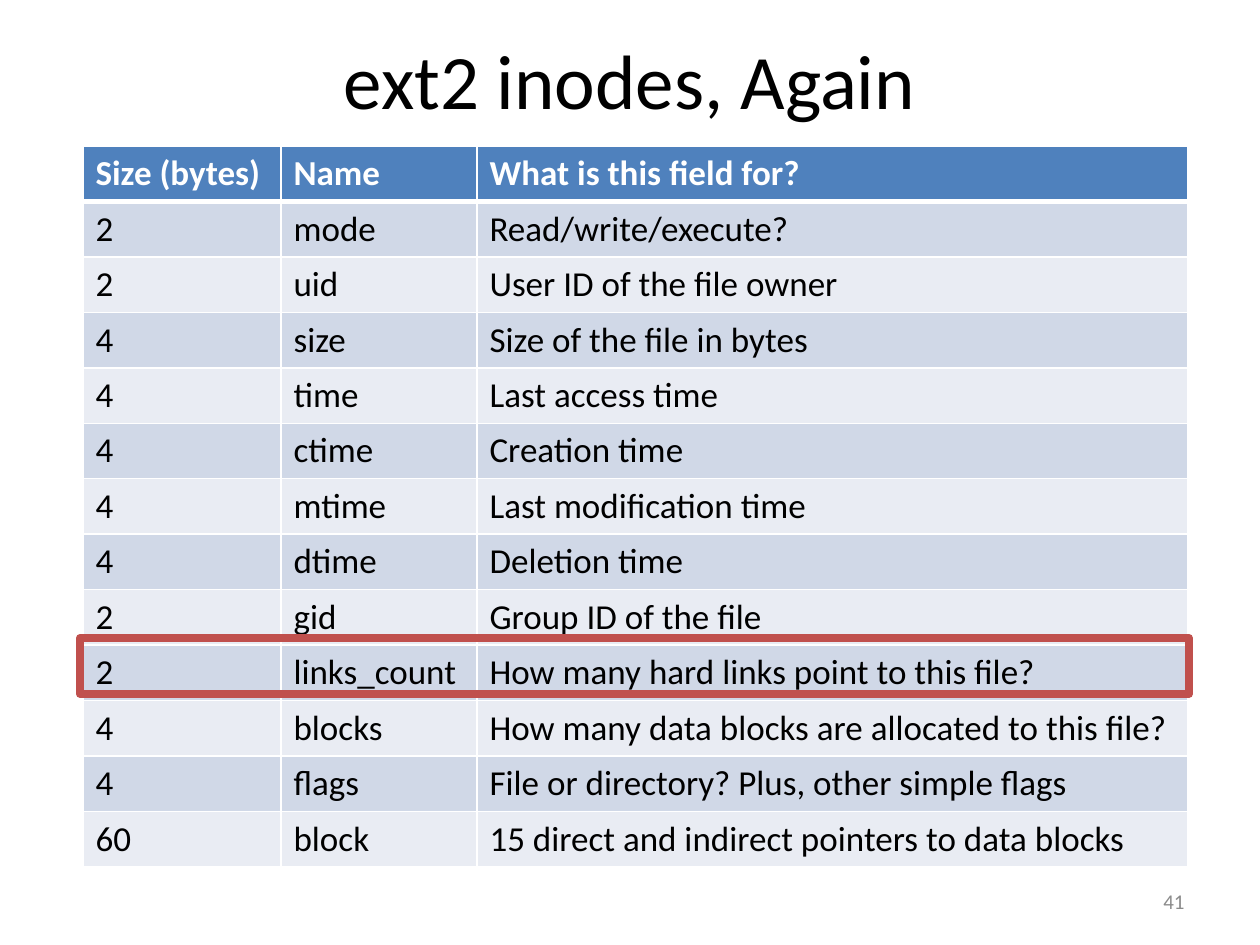
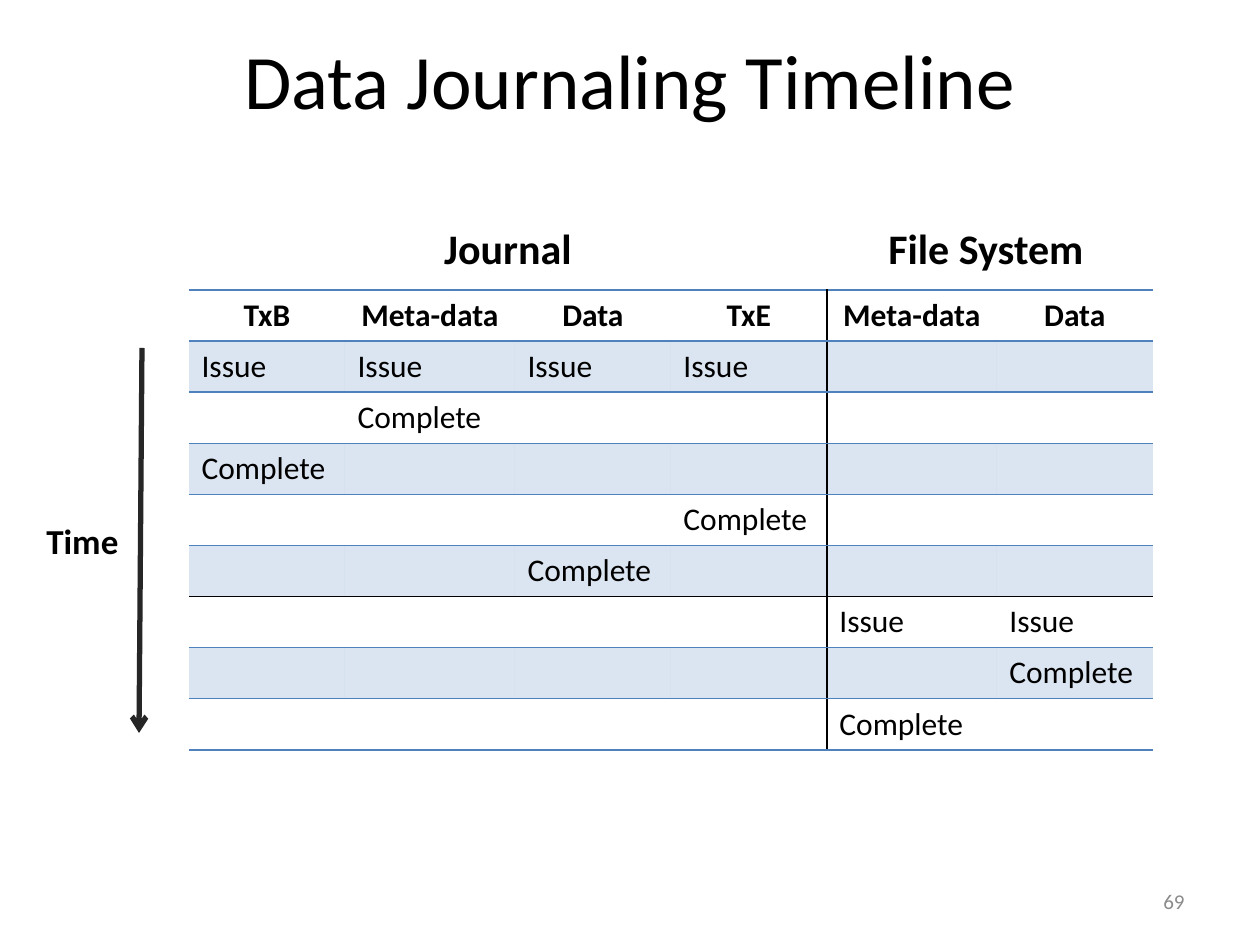
from dataclasses import dataclass

from lxml.etree import SubElement
from pptx import Presentation
from pptx.dml.color import RGBColor
from pptx.enum.shapes import MSO_CONNECTOR, MSO_SHAPE
from pptx.enum.text import MSO_ANCHOR, MSO_AUTO_SIZE, PP_ALIGN
from pptx.oxml.ns import qn
from pptx.util import Pt


@dataclass(frozen=True)
class Theme:
    font: str = "Calibri"
    black: str = "000000"
    white: str = "FFFFFF"
    blue: str = "4F81BD"
    band_dark: str = "D0D8E7"
    band_light: str = "E9ECF3"
    red: str = "C0504D"
    charcoal: str = "262626"
    grey: str = "8B8B8B"
    band_alpha: int = 20
    title_size: int = 44
    group_size: int = 24
    inode_size: int = 20
    timeline_size: int = 18
    number_size: int = 12
    thin: float = 0.96
    thick: float = 3
    outline: float = 4.5


THEME = Theme()
EMU_PER_PX = 914400 / 126
PLAIN_TABLE_STYLE = "{2D5ABB26-0587-4C30-8999-92F81FD0307C}"
SLIDE_SIZE = (1260, 945)
TITLE_BOX = (63, 0, 1134, 158)
NUMBER_BOX = (903, 876, 294, 50)

INODE_ORIGIN = (83, 146)
INODE_COLUMNS = (198, 196, 711)
INODE_HEIGHT = 721
INODE_HIGHLIGHT = (80, 638, 1109, 56)
INODE_ROWS = [
    ("Size (bytes)", "Name", "What is this field for?"),
    ("2", "mode", "Read/write/execute?"),
    ("2", "uid", "User ID of the file owner"),
    ("4", "size", "Size of the file in bytes"),
    ("4", "time", "Last access time"),
    ("4", "ctime", "Creation time"),
    ("4", "mtime", "Last modification time"),
    ("4", "dtime", "Deletion time"),
    ("2", "gid", "Group ID of the file"),
    ("2", "links_count", "How many hard links point to this file?"),
    ("4", "blocks", "How many data blocks are allocated to this file?"),
    ("4", "flags", "File or directory? Plus, other simple flags"),
    ("60", "block", "15 direct and indirect pointers to data blocks"),
]

TIMELINE_ORIGIN = (189, 290)
TIMELINE_COLUMNS = (156, 170, 156, 156, 170, 156)
TIMELINE_HEIGHT = 460
FIRST_FILE_SYSTEM_COLUMN = 4
FIRST_CHECKPOINT_ROW = 6
TIMELINE_ROWS = [
    ("TxB", "Meta-data", "Data", "TxE", "Meta-data", "Data"),
    ("Issue", "Issue", "Issue", "Issue", "", ""),
    ("", "Complete", "", "", "", ""),
    ("Complete", "", "", "", "", ""),
    ("", "", "", "Complete", "", ""),
    ("", "", "Complete", "", "", ""),
    ("", "", "", "", "Issue", "Issue"),
    ("", "", "", "", "", "Complete"),
    ("", "", "", "", "Complete", ""),
]
TIMELINE_LABELS = [
    ("Time", (34, 513, 100, 54), THEME.inode_size, PP_ALIGN.LEFT),
    ("Journal", (428, 216, 160, 63), THEME.group_size, PP_ALIGN.CENTER),
    ("File System", (872, 216, 228, 63), THEME.group_size, PP_ALIGN.CENTER),
]
TIME_ARROW = (142, 348, 139, 733)


def px(*lengths):
    return [round(length * EMU_PER_PX) for length in lengths]


def write(text_frame, text, size, color=THEME.black, bold=False, align=PP_ALIGN.LEFT):
    paragraph = text_frame.paragraphs[0]
    paragraph.text = text
    paragraph.alignment = align
    for run in paragraph.runs:
        run.font.name = THEME.font
        run.font.size = Pt(size)
        run.font.bold = bold
        run.font.color.rgb = RGBColor.from_string(color)


def add_text(slide, box, text, size, wrap=True, **style):
    text_frame = slide.shapes.add_textbox(*px(*box)).text_frame
    text_frame.word_wrap = wrap
    if wrap:
        text_frame.vertical_anchor = MSO_ANCHOR.MIDDLE
    else:
        text_frame.auto_size = MSO_AUTO_SIZE.SHAPE_TO_FIT_TEXT
    write(text_frame, text, size, **style)


def add_slide(presentation, title, number):
    slide = presentation.slides.add_slide(presentation.slide_layouts[6])
    add_text(slide, TITLE_BOX, title, THEME.title_size, align=PP_ALIGN.CENTER)
    add_text(slide, NUMBER_BOX, number, THEME.number_size,
             color=THEME.grey, align=PP_ALIGN.RIGHT)
    return slide


def set_borders(cell, borders):
    properties = cell._tc.get_or_add_tcPr()
    for side in "LRTB":
        color, width = borders.get(side, (None, 0))
        line = SubElement(properties, qn(f"a:ln{side}"), w=str(Pt(width)))
        if color:
            fill = SubElement(line, qn("a:solidFill"))
            SubElement(fill, qn("a:srgbClr"), val=color)
        else:
            SubElement(line, qn("a:noFill"))


def set_fill(cell, color, alpha=100):
    if color is None:
        cell.fill.background()
        return
    cell.fill.solid()
    cell.fill.fore_color.rgb = RGBColor.from_string(color)
    if alpha < 100:
        swatch = cell._tc.tcPr.find(qn("a:solidFill")).find(qn("a:srgbClr"))
        SubElement(swatch, qn("a:alpha"), val=str(alpha * 1000))


def add_grid(slide, origin, columns, height, rows, format_cell):
    size = (sum(columns), height)
    frame = slide.shapes.add_table(len(rows), len(columns), *px(*origin, *size))
    table = frame.table
    table.first_row = False
    table.horz_banding = False
    table._tbl.tblPr.find(qn("a:tableStyleId")).text = PLAIN_TABLE_STYLE
    for column, width in zip(table.columns, px(*columns)):
        column.width = width
    for row_index, row in enumerate(rows):
        table.rows[row_index].height = px(height / len(rows))[0]
        for column_index, text in enumerate(row):
            format_cell(table.cell(row_index, column_index), row_index, column_index, text)


def format_inode_cell(cell, row, column, text):
    is_header = row == 0
    borders = {side: (THEME.white, THEME.thin) for side in "LRTB"}
    if is_header:
        borders["B"] = (THEME.white, THEME.thick)
    elif row == 1:
        borders["T"] = (THEME.white, THEME.thick)
    set_borders(cell, borders)
    band = THEME.band_dark if row % 2 else THEME.band_light
    set_fill(cell, THEME.blue if is_header else band)
    write(cell.text_frame, text, THEME.inode_size,
          color=THEME.white if is_header else THEME.black, bold=is_header)


def format_timeline_cell(cell, row, column, text):
    is_header = row == 0
    borders = {side: (THEME.blue, THEME.thin) for side in "TB"}
    divider = (THEME.black, THEME.thin)
    if column == FIRST_FILE_SYSTEM_COLUMN - 1:
        borders["R"] = divider
    if column == FIRST_FILE_SYSTEM_COLUMN:
        borders["L"] = divider
    if row == FIRST_CHECKPOINT_ROW - 1:
        borders["B"] = divider
    if row == FIRST_CHECKPOINT_ROW:
        borders["T"] = divider
    set_borders(cell, borders)
    set_fill(cell, THEME.blue if row % 2 else None, THEME.band_alpha)
    write(cell.text_frame, text, THEME.timeline_size, bold=is_header,
          align=PP_ALIGN.CENTER if is_header else PP_ALIGN.LEFT)


def add_highlight(slide):
    highlight = slide.shapes.add_shape(MSO_SHAPE.RECTANGLE, *px(*INODE_HIGHLIGHT))
    highlight.shadow.inherit = False
    highlight.fill.background()
    highlight.line.color.rgb = RGBColor.from_string(THEME.red)
    highlight.line.width = Pt(THEME.outline)


def add_time_arrow(slide):
    arrow = slide.shapes.add_connector(MSO_CONNECTOR.STRAIGHT, *px(*TIME_ARROW))
    arrow.line.color.rgb = RGBColor.from_string(THEME.charcoal)
    arrow.line.width = Pt(THEME.thick)
    properties = arrow._element.spPr
    SubElement(properties.find(qn("a:ln")), qn("a:tailEnd"), type="arrow")
    SubElement(properties, qn("a:effectLst"))


def build_inode_slide(presentation):
    slide = add_slide(presentation, "ext2 inodes, Again", "41")
    add_grid(slide, INODE_ORIGIN, INODE_COLUMNS, INODE_HEIGHT,
             INODE_ROWS, format_inode_cell)
    add_highlight(slide)


def build_timeline_slide(presentation):
    slide = add_slide(presentation, "Data Journaling Timeline", "69")
    add_grid(slide, TIMELINE_ORIGIN, TIMELINE_COLUMNS, TIMELINE_HEIGHT,
             TIMELINE_ROWS, format_timeline_cell)
    add_time_arrow(slide)
    for text, box, size, align in TIMELINE_LABELS:
        add_text(slide, box, text, size, wrap=False, bold=True, align=align)


def main():
    presentation = Presentation()
    presentation.slide_width, presentation.slide_height = px(*SLIDE_SIZE)
    build_inode_slide(presentation)
    build_timeline_slide(presentation)
    presentation.save("out.pptx")


if __name__ == "__main__":
    main()
